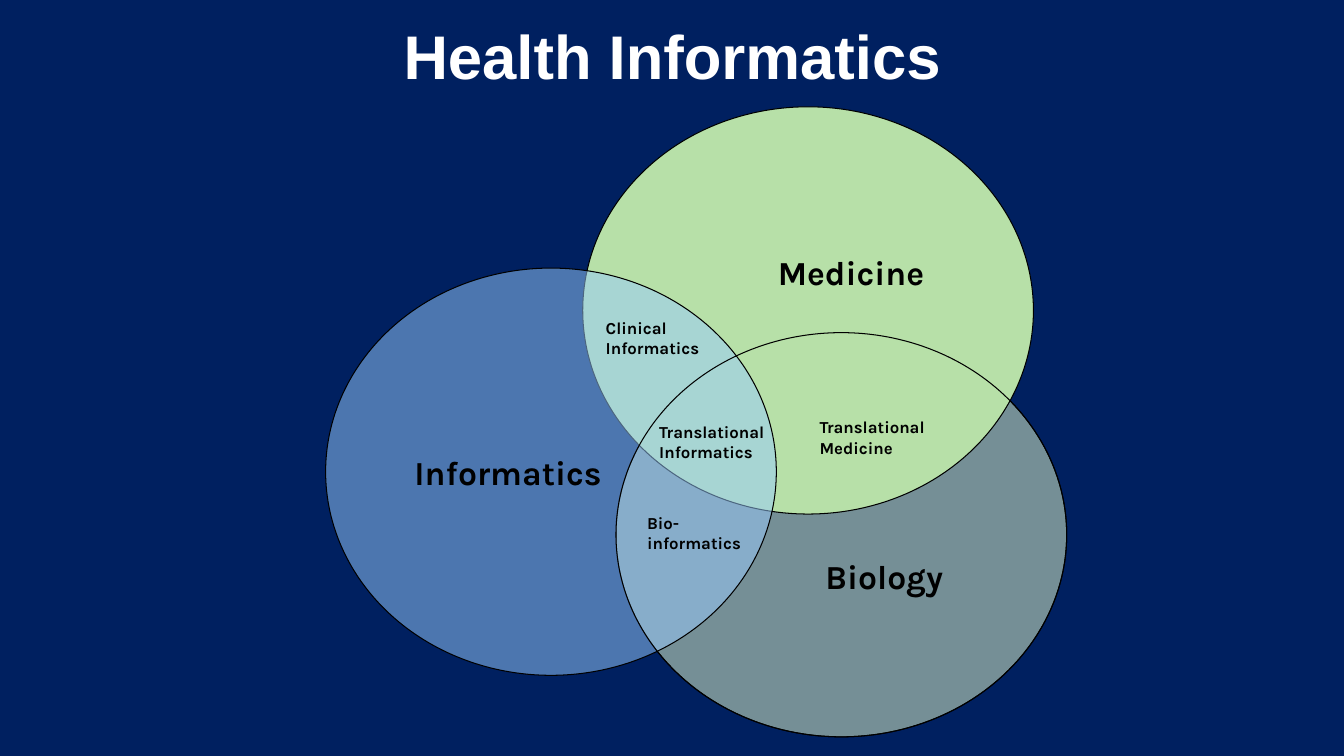
from dataclasses import dataclass

from lxml.etree import SubElement
from pptx import Presentation
from pptx.dml.color import RGBColor
from pptx.enum.shapes import MSO_SHAPE as Shape
from pptx.enum.text import MSO_ANCHOR as Anchor, MSO_AUTO_SIZE as AutoSize, PP_ALIGN as Align
from pptx.oxml.ns import qn
from pptx.util import Inches, Pt


@dataclass(frozen=True)
class Theme:
    navy: RGBColor = RGBColor.from_string("002060")
    white: RGBColor = RGBColor.from_string("FFFFFF")
    black: RGBColor = RGBColor.from_string("000000")
    biology: RGBColor = RGBColor.from_string("EAFFCD")
    medicine: RGBColor = RGBColor.from_string("B7E0A8")
    informatics: RGBColor = RGBColor.from_string("99CCFF")
    title_font: str = "Arial"
    label_font: str = "Karla"
    title_size: Pt = Pt(44)
    field_size: Pt = Pt(24)
    overlap_size: Pt = Pt(12)
    outline: Pt = Pt(0.75)


theme = Theme()


def write(paragraph, text, size, color=theme.black, face=theme.label_font):
    run = paragraph.add_run()
    run.text = text
    run.font.size = size
    run.font.name = face
    run.font.bold = True
    run.font.color.rgb = color


def add_circle(left, top, height, color=None, opacity=100):
    circle = slide.shapes.add_shape(
        Shape.OVAL, Inches(left), Inches(top), Inches(4.47), Inches(height))
    circle.shadow.inherit = False
    circle.line.color.rgb = theme.black
    circle.line.width = theme.outline
    if color is None:
        circle.fill.background()
        return circle
    circle.fill.solid()
    circle.fill.fore_color.rgb = color
    if opacity < 100:
        tint = circle.fill._xPr.find(qn("a:solidFill"))[0]
        SubElement(tint, qn("a:alpha"), val=str(opacity * 1000))
    return circle


deck = Presentation()
deck.slide_width, deck.slide_height = Inches(13.33), Inches(7.5)
slide = deck.slides.add_slide(deck.slide_layouts[5])
slide.background.fill.solid()
slide.background.fill.fore_color.rgb = theme.navy

heading = slide.shapes.title
heading.left, heading.top = Inches(0.67), Inches(0.11)
heading.width, heading.height = Inches(12), Inches(0.86)
heading.text_frame.vertical_anchor = Anchor.MIDDLE
heading_line = heading.text_frame.paragraphs[0]
heading_line.alignment = Align.CENTER
write(heading_line, "Health Informatics", theme.title_size, theme.white, theme.title_font)

fields = [
    ("Biology", 6.11, 3.3, 4.01, theme.biology, 50, (0.95, 0.87, 0.1, 0.05)),
    ("Medicine", 5.78, 1.06, 4.04, theme.medicine, 100, (0.95, 0.05, 0.1, 0.81)),
    ("Informatics", 3.23, 2.66, 4.04, theme.informatics, 50, (0.1, 0.05, 0.95, 0.05)),
]
for field, left, top, height, color, opacity, insets in fields:
    frame = add_circle(left, top, height, color, opacity).text_frame
    frame.word_wrap = True
    frame.vertical_anchor = Anchor.MIDDLE
    (frame.margin_left, frame.margin_top,
     frame.margin_right, frame.margin_bottom) = map(Inches, insets)
    frame.paragraphs[0].alignment = Align.CENTER
    write(frame.paragraphs[0], field, theme.field_size)

add_circle(6.11, 3.3, 4.01)

overlaps = [
    (("Translational", "Medicine"), 8.03, 4.09, 1.35),
    (("Clinical", "Informatics"), 5.91, 3.1, 1.57),
    (("Bio-", "informatics"), 6.32, 5.04, 1.16),
    (("Translational", "Informatics"), 6.44, 4.13, 1.3),
]
for words, left, top, width in overlaps:
    frame = slide.shapes.add_textbox(
        Inches(left), Inches(top), Inches(width), Inches(0.5)).text_frame
    frame.word_wrap = True
    frame.auto_size = AutoSize.SHAPE_TO_FIT_TEXT
    for index, word in enumerate(words):
        line = frame.add_paragraph() if index else frame.paragraphs[0]
        write(line, word, theme.overlap_size)

deck.save("out.pptx")
